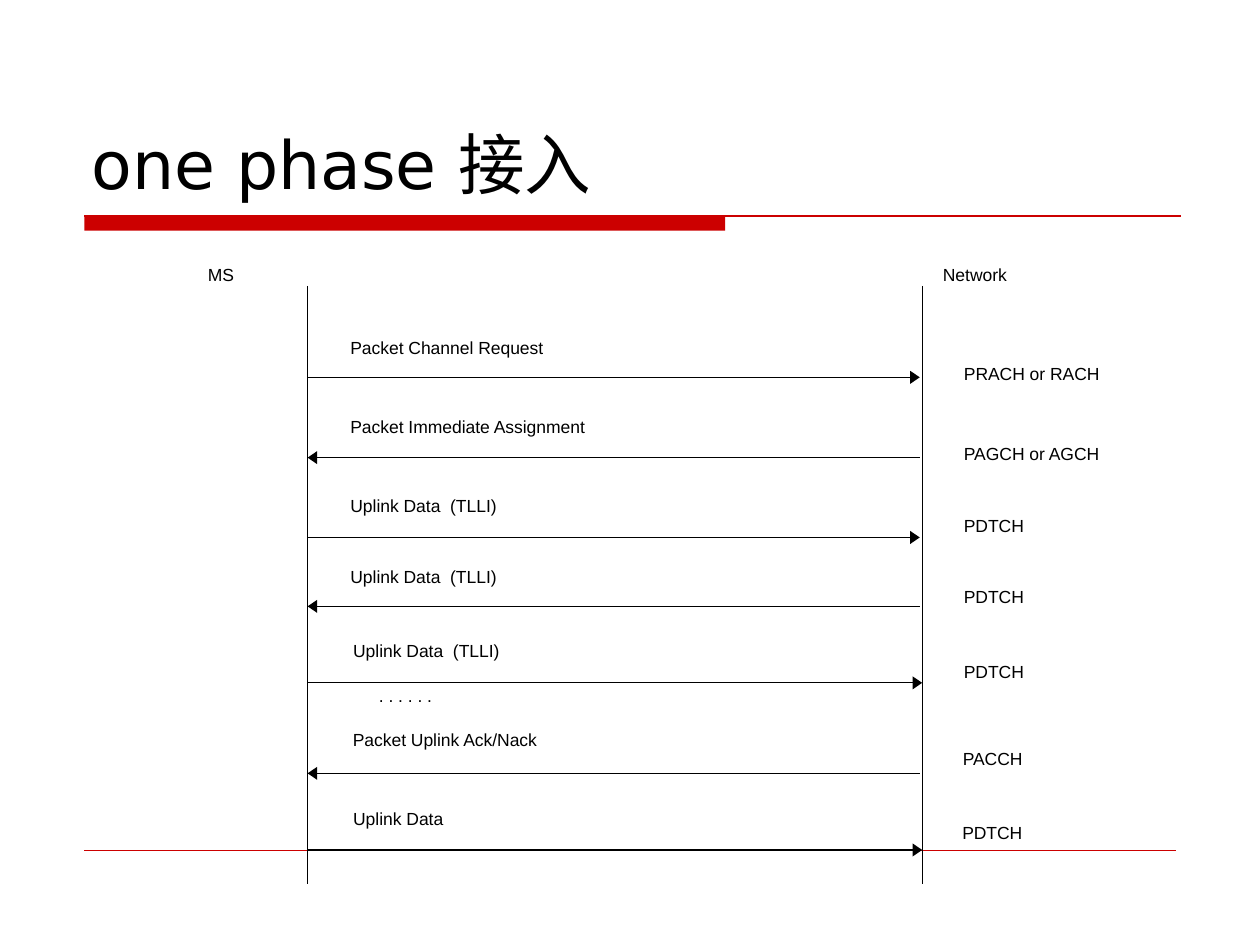
from dataclasses import dataclass

from lxml.etree import SubElement
from pptx import Presentation
from pptx.dml.color import RGBColor
from pptx.enum.shapes import MSO_CONNECTOR as Connector, MSO_SHAPE as Shape
from pptx.enum.text import MSO_ANCHOR as Anchor, MSO_AUTO_SIZE as AutoSize, PP_ALIGN as Align
from pptx.oxml.ns import qn
from pptx.util import Pt


@dataclass(frozen=True)
class Theme:
    ink: RGBColor = RGBColor(0, 0, 0)
    accent: RGBColor = RGBColor(0xCC, 0, 0)
    title_font: str = "DejaVu Sans"
    label_font: str = "Arial"
    title_size: float = 38
    label_size: float = 10


THEME = Theme()
MS_X, NETWORK_X = 175.8, 527.2
LIFELINE_TOP, LIFELINE_BOTTOM = 163.4, 504.9
HEAD_LENGTH, HEAD_HEIGHT = 5.5, 7.5

# to network, arrow y, arrow right end, message, (left, top, width), channel, (left, top, width)
MESSAGES = [
    (True, 215.6, 525.6, "Packet Channel Request", (200.2, 192.7, 111), "PRACH or RACH", (550.8, 207.6, 78.5)),
    (False, 261.5, 525.6, "Packet Immediate Assignment", (200.2, 237.8, 138), "PAGCH or AGCH", (550.8, 253.4, 78.5)),
    (True, 307.1, 525.6, "Uplink Data  (TLLI)", (200.2, 283, 84.5), "PDTCH", (550.8, 294.5, 35.5)),
    (False, 346.5, 525.6, "Uplink Data  (TLLI)", (200.2, 323.5, 84.5), "PDTCH", (550.8, 335, 35.5)),
    (True, 390.2, 527, "Uplink Data  (TLLI)", (201.8, 365.8, 84.5), "PDTCH", (550.8, 378, 35.5)),
    (False, 441.9, 525.6, "Packet Uplink Ack/Nack", (201.6, 416.6, 107), "PACCH", (550.2, 427.7, 35.5)),
    (True, 485.7, 527, "Uplink Data", (201.8, 461.7, 57), "PDTCH", (549.9, 469.6, 35.5)),
]


def add_title(slide, wording):
    title = slide.shapes.title
    title.left, title.top, title.width, title.height = Pt(45), Pt(23.8), Pt(630), Pt(95.8)
    frame = title.text_frame
    frame.text = wording
    frame.vertical_anchor = Anchor.BOTTOM
    frame.auto_size = AutoSize.NONE
    heading = frame.paragraphs[0]
    heading.alignment = Align.LEFT
    heading.font.name = THEME.title_font
    heading.font.size = Pt(THEME.title_size)
    heading.font.color.rgb = THEME.ink


def add_line(slide, start, end, color, width):
    line = slide.shapes.add_connector(Connector.STRAIGHT, *map(Pt, start + end))
    line.line.color.rgb = color
    line.line.width = Pt(width)
    SubElement(line._element.spPr, qn("a:effectLst"))


def fill_solid(shape, color):
    shape.shadow.inherit = False
    shape.fill.solid()
    shape.fill.fore_color.rgb = color
    shape.line.fill.background()


def add_title_rule(slide):
    band = slide.shapes.add_shape(Shape.RECTANGLE, Pt(48.2), Pt(123.1), Pt(366.2), Pt(8.8))
    fill_solid(band, THEME.accent)
    add_line(slide, (48.2, 123.4), (674.8, 123.4), THEME.accent, 1)


def add_label(slide, wording, place):
    """Set text at a left, top and width, without margins or wrapping."""
    left, top, width = map(Pt, place)
    frame = slide.shapes.add_textbox(left, top, width, Pt(12.2)).text_frame
    frame.margin_left = frame.margin_right = frame.margin_top = frame.margin_bottom = 0
    frame.word_wrap = False
    frame.auto_size = AutoSize.SHAPE_TO_FIT_TEXT
    frame.text = wording
    label = frame.paragraphs[0]
    label.alignment = Align.LEFT
    label.font.name = THEME.label_font
    label.font.size = Pt(THEME.label_size)
    label.font.color.rgb = THEME.ink


def add_arrow(slide, tail_x, tip_x, y):
    """Draw a level arrow whose filled head ends at tip_x."""
    base_x = tip_x - HEAD_LENGTH if tip_x > tail_x else tip_x + HEAD_LENGTH
    add_line(slide, (tail_x, y), (base_x, y), THEME.ink, 0.65)
    outline = slide.shapes.build_freeform(Pt(base_x), Pt(y - HEAD_HEIGHT / 2))
    outline.add_line_segments(
        [(Pt(base_x), Pt(y + HEAD_HEIGHT / 2)), (Pt(tip_x), Pt(y))], close=True
    )
    fill_solid(outline.convert_to_shape(), THEME.ink)


def main():
    deck = Presentation()
    deck.slide_width, deck.slide_height = Pt(720), Pt(540)
    slide = deck.slides.add_slide(deck.slide_layouts.get_by_name("Title Only"))

    add_title_rule(slide)
    add_line(slide, (48.2, 486), (672, 486), THEME.accent, 0.25)
    add_title(slide, "one phase 接入")

    add_label(slide, "MS", (118.8, 150.9, 16))
    add_label(slide, "Network", (538.8, 150.9, 37.5))
    for to_network, y, right, message, message_place, channel, channel_place in MESSAGES:
        ends = (MS_X, right) if to_network else (right, MS_X)
        add_arrow(slide, *ends, y)
        add_label(slide, message, message_place)
        add_label(slide, channel, channel_place)
    add_label(slide, ". . . . . .", (216.5, 391.3, 31))
    for lifeline_x in (MS_X, NETWORK_X):
        add_line(slide, (lifeline_x, LIFELINE_TOP), (lifeline_x, LIFELINE_BOTTOM), THEME.ink, 0.75)

    deck.save("out.pptx")


if __name__ == "__main__":
    main()
